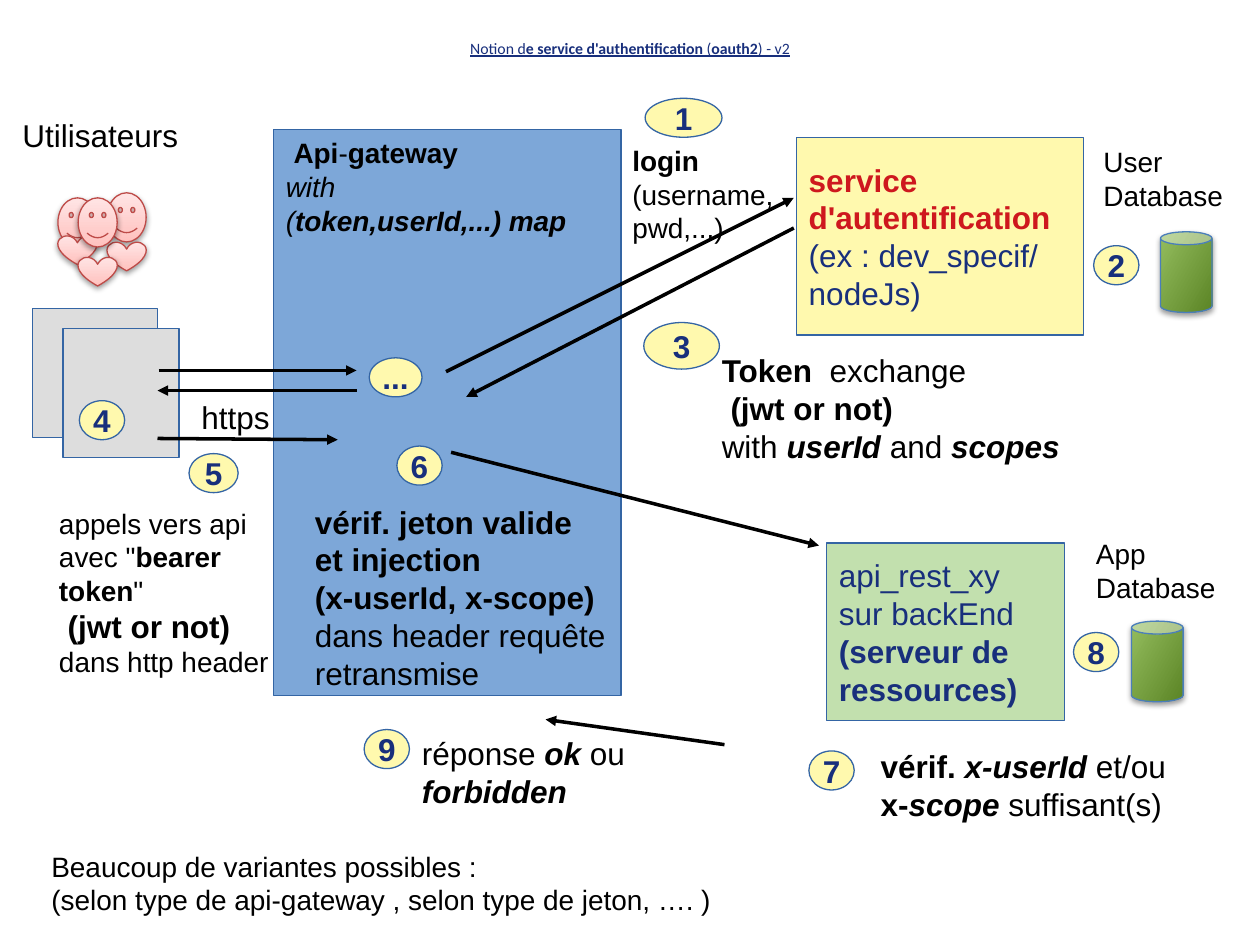
from lxml import etree
from pptx import Presentation
from pptx.dml.color import RGBColor as Rgb
from pptx.enum.shapes import MSO_CONNECTOR as Link, MSO_SHAPE as Shape
from pptx.enum.text import MSO_ANCHOR as Anchor, PP_ALIGN as Align
from pptx.oxml import parse_xml
from pptx.oxml.ns import nsdecls, qn
from pptx.util import Pt

PX = 9144  # EMU per px, 100 px to the inch
HEX = {
    "navy": "182F7C", "black": "000000", "red": "CE181E", "edge": "3465A4",
    "gray": "DDDDDD", "blue": "7DA7D8", "cream": "FFF9AE", "mint": "C2E0AE",
    "rose": "FFC1BE", "blush": "FFE5E5", "brick": "BE4B48",
    "lime": "94BD5E", "moss": "5C8526", "steel": "4A7EBB",
}


def rgb(name):
    return Rgb.from_string(HEX[name])


def px(*nums):
    return [round(n * PX) for n in nums]


def write(frame, lines, size=16, color="black", face="Arial",
          align=Align.LEFT, anchor=Anchor.TOP, wrap=True):
    """Fill a frame; * toggles bold, ~ toggles italic.
    A line may also be a tuple of text, size and colour."""
    frame.word_wrap, frame.vertical_anchor = wrap, anchor
    for n, line in enumerate(lines):
        text, pts, hue = line if isinstance(line, tuple) else (line, size, color)
        para = frame.add_paragraph() if n else frame.paragraphs[0]
        para.alignment = align
        font = para.font
        font.name, font.size = face, Pt(pts)
        font.color.rgb = rgb(hue)
        slant = False
        for i, chunk in enumerate(text.split("*")):
            for j, bit in enumerate(chunk.split("~")):
                slant ^= j > 0
                if bit:
                    run = para.add_run()
                    run.text = bit
                    run.font.bold, run.font.italic = i % 2 == 1, slant
    return frame


def label(sl, x, y, w, h, lines, **style):
    return write(sl.shapes.add_textbox(*px(x, y, w, h)).text_frame, lines, **style)


def form(sl, kind, x, y, w, h, fill, edge="edge", width=0):
    item = sl.shapes.add_shape(kind, *px(x, y, w, h))
    item.shadow.inherit = False
    item.fill.solid()
    item.fill.fore_color.rgb = rgb(fill)
    item.line.color.rgb = rgb(edge)
    item.line.width = Pt(width)
    return item


def glossy(sl, kind, x, y, w, h, tones, edge, angle):
    """A shape with a gradient and a soft shadow below it."""
    item = form(sl, kind, x, y, w, h, tones[0], edge, 0.75)
    item.fill.gradient()
    item.fill.gradient_angle = angle
    for stop, tone, place in zip(item.fill.gradient_stops, tones, (0, 1)):
        stop.color.rgb = rgb(tone)
        stop.position = place
    glow = item._element.spPr.find(qn("a:effectLst"))
    glow.append(parse_xml(
        f'<a:outerShdw {nsdecls("a")} blurRad="40000" dist="20000" dir="5400000" '
        'rotWithShape="0"><a:srgbClr val="000000"><a:alpha val="38000"/>'
        '</a:srgbClr></a:outerShdw>'))
    return item


def badge(sl, x, y, text, w=36, h=31):
    item = form(sl, Shape.OVAL, x, y, w, h, "cream")
    write(item.text_frame, [f"*{text}*"], 18, "navy", align=Align.CENTER,
          anchor=Anchor.MIDDLE, wrap=False)


def arrow(sl, *ends):
    line = sl.shapes.add_connector(Link.STRAIGHT, *px(*ends))
    line.line.color.rgb = rgb("black")
    line.line.width = Pt(0)
    props = line._element.spPr
    etree.SubElement(line.line._get_or_add_ln(), qn("a:tailEnd"), type="triangle")
    etree.SubElement(props, qn("a:effectLst"))


def title(sl, x, y, w, h):
    frame = label(sl, x, y, w, h,
                  ["Notion d*e service d'authentification* (*oauth2*) - v2"],
                  size=9, color="navy", face="Calibri",
                  align=Align.CENTER, anchor=Anchor.MIDDLE)
    frame.paragraphs[0].font.underline = True


def gateway(sl, x, y, w, h):
    box = form(sl, Shape.RECTANGLE, x, y, w, h, "blue")
    write(box.text_frame, [" *Api*-*gateway*", "~with~", "~(*token,userId,...) map*~"])
    badge(sl, x + 76, y + 181, "...", 42)
    badge(sl, x + 98, y + 251, "6")
    label(sl, x + 23, y + 291, 272, 157,
          ["*vérif. jeton valide*", "*et injection*", "*(x-userId, x-scope)*",
           "dans header requête retransmise"], size=18)


def users(sl, x, y):
    label(sl, x, y, 208, 66, ["Utilisateurs"], size=18)
    # People: face and heart offsets
    for dx, top, low in ((38, 70, 100), (77, 66, 105), (54, 70, 117)):
        for kind, dy, h in ((Shape.SMILEY_FACE, top, 39), (Shape.HEART, low, 23)):
            glossy(sl, kind, x + dx, y + dy, 31, h, ("rose", "blush"), "brick", 90)
    # Client pages
    for dx, dy, w in ((18, 158, 99), (42, 174, 92)):
        form(sl, Shape.RECTANGLE, x + dx, y + dy, w, 102, "gray")
    badge(sl, x + 55, y + 231, "4")
    # Calls to the gateway
    label(sl, x + 142, y + 224, 87, 38, ["https"], size=18)
    badge(sl, x + 142, y + 273, "5", 39)
    label(sl, x + 29, y + 310, 207, 150,
          ["appels vers api", 'avec "*bearer*', '*token*"',
           (" *(jwt or not)*", 18, "black"), "dans http header"])


def service(sl, x, y, w, h, fill, lines):
    box = form(sl, Shape.RECTANGLE, x, y, w, h, fill)
    write(box.text_frame, lines, 18, "navy", anchor=Anchor.MIDDLE)


def store(sl, x, y, name, mark, can):
    """A database: its label, then badge and can at offsets."""
    label(sl, x, y, 126, 66, [name, "Database"])
    badge(sl, x + mark[0], y + mark[1], mark[2])
    glossy(sl, Shape.CAN, x + can[0], y + can[1], 41, 64,
           ("lime", "moss"), "steel", 330)


def login(sl, x, y):
    badge(sl, x + 20, y, "1", 61)
    label(sl, x, y + 31, 140, 88, ["*login*", "(username,", "pwd,...)"])
    badge(sl, x + 19, y + 178, "3", 60, 37)
    label(sl, x + 71, y + 196, 315, 110,
          ["*Token * exchange", " *(jwt or not)*",
           "with *~userId~* and *~scopes~*"], size=18)


def reply(sl, x, y):
    badge(sl, x, y + 1, "9")
    label(sl, x + 36, y, 187, 66, ["réponse *~ok~* ou", "*~forbidden~*"], size=18)
    badge(sl, x + 353, y + 18, "7")
    label(sl, x + 400, y + 10, 271, 66,
          ["*vérif. ~x-userId~* et/ou *x-~scope ~*suffisant(s)"], size=18)


def main():
    deck = Presentation()
    deck.slide_width, deck.slide_height = px(1000, 750)
    sl = deck.slides.add_slide(deck.slide_layouts[6])

    title(sl, 50, 13, 900, 50)
    gateway(sl, 217, 103, 276, 449)
    users(sl, 8, 87)
    service(sl, 632, 109, 228, 157, "cream",
            [("*service*", 18, "red"), ("*d'autentification*", 18, "red"),
             "(ex : dev_specif/", "nodeJs)"])
    service(sl, 656, 431, 189, 141, "mint",
            ["api_rest_xy", "sur backEnd", "*(serveur de*", "*ressources)*"])
    store(sl, 866, 110, "User", (2, 85, "2"), (55, 74))
    store(sl, 860, 421, "App", (-8, 81, "8"), (38, 72))
    login(sl, 492, 78)
    reply(sl, 289, 578)
    label(sl, 31, 669, 853, 66,
          ["Beaucoup de variantes possibles :",
           "(selon type de api-gateway , selon type de jeton, …. )"])

    # Exchanges between the regions
    for ends in ((126, 294, 283, 294), (283, 310, 125, 310), (125, 348, 268, 349),
                 (354, 295, 630, 157), (630, 181, 370, 315),
                 (358, 359, 650, 433), (575, 591, 433, 571)):
        arrow(sl, *ends)
    deck.save("out.pptx")


if __name__ == "__main__":
    main()
